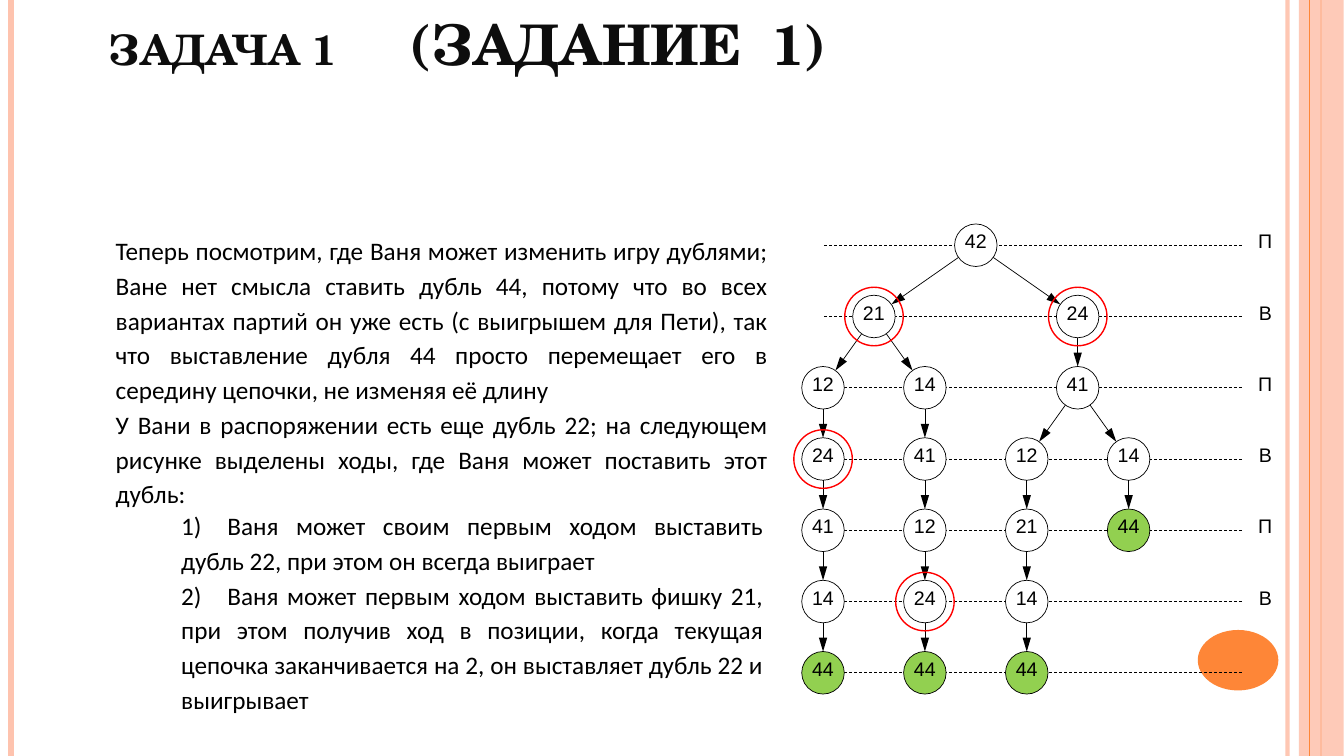
import math
from lxml import etree
from pptx import Presentation
from pptx import util as u
from pptx.dml.color import RGBColor
from pptx.enum import dml, shapes, text
from pptx.oxml.ns import qn

BLACK, WHITE, RED, GREEN = "000000", "FFFFFF", "FF0000", "92D050"
PEACH, ORANGE, TITLE_INK = "FEC3AE", "FE8637", "0D0D0D"
SLIDE_WIDTH, SLIDE_HEIGHT = 960.48, 540

TITLE = [("ЗАДАЧА 1\t", 30), ("(ЗАДАНИЕ\t1)", 40)]
EXPLANATION = [
    "Теперь посмотрим, где Ваня может изменить игру дублями; Ване нет смысла ставить дубль 44, "
    "потому что во всех вариантах партий он уже есть (с выигрышем для Пети), так что выставление "
    "дубля 44 просто перемещает его в середину цепочки, не изменяя её длину",
    "У Вани в распоряжении есть еще дубль 22; на следующем рисунке выделены ходы, где Ваня может "
    "поставить этот дубль:",
]
MOVES = [
    "1)\tВаня может своим первым ходом выставить дубль 22, при этом он всегда выиграет",
    "2)\tВаня может первым ходом выставить фишку 21, при этом получив ход в позиции, когда текущая "
    "цепочка заканчивается на 2, он выставляет дубль 22 и выигрывает",
]

LEVELS = [
    {3: 42},
    {1: 21, 5: 24},
    {0: 12, 2: 14, 5: 41},
    {0: 24, 2: 41, 4: 12, 6: 14},
    {0: 41, 2: 12, 4: 21, 6: 44},
    {0: 14, 2: 24, 4: 14},
    {0: 44, 2: 44, 4: 44},
]
PLAYERS = "ПВПВПВ"
RINGED = [(1, 1), (5, 1), (0, 3), (2, 5)]
TREE_LEFT, TREE_TOP, COLUMN_STEP, LEVEL_STEP = 588.2, 175.2, 36.4, 50.9
NODE_SIZE, RING_SIZE = 30.4, 41.8


def rgb(value):
    return RGBColor.from_string(value)


def node_center(column, level):
    return TREE_LEFT + column * COLUMN_STEP, TREE_TOP + level * LEVEL_STEP


class SlideBuilder:
    """Draws styled elements on one slide, with lengths in points."""

    def __init__(self, slide):
        self.slide = slide

    def style(self, run, font, size, color, bold=False):
        run.font.name, run.font.size, run.font.bold = font, u.Pt(size), bold
        run.font.color.rgb = rgb(color)

    def tabs(self, paragraph, positions):
        tab_list = etree.SubElement(paragraph._p.get_or_add_pPr(), qn("a:tabLst"))
        for position in positions:
            etree.SubElement(tab_list, qn("a:tab"), pos=str(u.Pt(position)), algn="l")

    def opacity(self, shape, percent):
        for color in shape._element.spPr.iter(qn("a:srgbClr")):
            etree.SubElement(color, qn("a:alpha"), val=str(percent * 1000))

    def title(self, parts, left, top, width, height, tabs):
        shape = self.slide.shapes.title
        shape.left, shape.top, shape.width, shape.height = map(u.Pt, (left, top, width, height))
        frame = shape.text_frame
        frame.auto_size = text.MSO_AUTO_SIZE.NONE
        frame.vertical_anchor = text.MSO_ANCHOR.BOTTOM
        paragraph = frame.paragraphs[0]
        self.tabs(paragraph, tabs)
        paragraph.alignment = text.PP_ALIGN.LEFT
        for words, size in parts:
            run = paragraph.add_run()
            run.text = words
            self.style(run, "TeX Gyre Schola", size, TITLE_INK, True)

    def body(self, paragraphs, left, top, width, height, tabs=()):
        frame = self.slide.shapes.add_textbox(*map(u.Pt, (left, top, width, height))).text_frame
        frame.word_wrap = True
        frame.text = "\n".join(paragraphs)
        for paragraph in frame.paragraphs:
            if tabs:
                self.tabs(paragraph, tabs)
            paragraph.alignment = text.PP_ALIGN.JUSTIFY
            paragraph.line_spacing = 1.15
            self.style(paragraph.runs[0], "Calibri", 18, BLACK)

    def caption(self, shape, words):
        frame = shape.text_frame
        frame.word_wrap = False
        frame.margin_left = frame.margin_right = frame.margin_top = 0
        frame.margin_bottom = u.Pt(6)
        frame.vertical_anchor = text.MSO_ANCHOR.MIDDLE
        frame.text = words
        frame.paragraphs[0].alignment = text.PP_ALIGN.CENTER
        self.style(frame.paragraphs[0].runs[0], "Arial", 14, BLACK)

    def label(self, words, x, y, size):
        box = (x - size / 2, y - size / 2, size, size)
        self.caption(self.slide.shapes.add_textbox(*map(u.Pt, box)), words)

    def shape(self, kind, left, top, width, height, fill=None, line=None, weight=0.5):
        shape = self.slide.shapes.add_shape(kind, *map(u.Pt, (left, top, width, height)))
        shape.shadow.inherit = False
        if fill:
            shape.fill.solid()
            shape.fill.fore_color.rgb = rgb(fill)
        else:
            shape.fill.background()
        if line:
            shape.line.color.rgb = rgb(line)
            shape.line.width = u.Pt(weight)
        else:
            shape.line.fill.background()
        return shape

    def circle(self, x, y, size, **look):
        return self.shape(shapes.MSO_SHAPE.OVAL, x - size / 2, y - size / 2, size, size, **look)

    def line(self, x1, y1, x2, y2, color=BLACK, weight=0.5, dashed=False, arrow=False):
        line = self.slide.shapes.add_connector(
            shapes.MSO_CONNECTOR.STRAIGHT, *map(u.Pt, (x1, y1, x2, y2)))
        line.line.color.rgb = rgb(color)
        line.line.width = u.Pt(weight)
        if dashed:
            line.line.dash_style = dml.MSO_LINE.DASH
        if arrow:
            etree.SubElement(line.line._get_or_add_ln(), qn("a:tailEnd"),
                             type="triangle", w="med", len="lg")
        etree.SubElement(line._element.spPr, qn("a:effectLst"))
        return line

    def arrow_between(self, start, end, radius):
        (x1, y1), (x2, y2) = start, end
        share = radius / math.dist(start, end)
        dx, dy = (x2 - x1) * share, (y2 - y1) * share
        self.line(x1 + dx, y1 + dy, x2 - dx, y2 - dy, arrow=True)


def draw_frame(builder):
    edge = builder.line(920.2, 0, 920.2, SLIDE_HEIGHT, PEACH, 3)
    builder.opacity(edge, 93)
    builder.line(7.9, 0, 7.9, SLIDE_HEIGHT, PEACH, 4.5)
    builder.line(943.9, 0, 943.9, SLIDE_HEIGHT, ORANGE, 1.5)
    band = builder.shape(shapes.MSO_SHAPE.RECTANGLE, 928.3, 0, 32, SLIDE_HEIGHT, PEACH)
    builder.opacity(band, 87)
    builder.line(936, 0, 936, SLIDE_HEIGHT, ORANGE, 0.75)
    builder.shape(shapes.MSO_SHAPE.OVAL, 856, 450, 57.6, 43.2, ORANGE)


def draw_game_tree(builder):
    for level in range(len(LEVELS)):
        y = node_center(0, level)[1]
        builder.line(589, y, 888, y, dashed=True)
    for level, player in enumerate(PLAYERS):
        builder.label(player, 904.3, node_center(0, level)[1], NODE_SIZE)
    for level, nodes in enumerate(LEVELS):
        for column, number in nodes.items():
            fill = GREEN if number == 44 else WHITE
            node = builder.circle(*node_center(column, level), NODE_SIZE, fill=fill, line=BLACK)
            builder.caption(node, str(number))
    for level, (parents, children) in enumerate(zip(LEVELS, LEVELS[1:])):
        reach = 1 if level else 2
        for parent in parents:
            for child in children:
                if abs(parent - child) <= reach:
                    builder.arrow_between(node_center(parent, level),
                                          node_center(child, level + 1), NODE_SIZE / 2)
    for column, level in RINGED:
        builder.circle(*node_center(column, level), RING_SIZE, line=RED, weight=1)


def main():
    presentation = Presentation()
    presentation.slide_width, presentation.slide_height = u.Pt(SLIDE_WIDTH), u.Pt(SLIDE_HEIGHT)
    builder = SlideBuilder(presentation.slides.add_slide(presentation.slide_layouts[5]))
    draw_frame(builder)
    builder.title(TITLE, 70.6, 0, 801, 58.3, [215, 474])
    builder.body(EXPLANATION, 75.6, 161.3, 480, 206)
    draw_game_tree(builder)
    builder.body(MOVES, 122.4, 357.8, 430, 156, [33])
    presentation.save("out.pptx")


if __name__ == "__main__":
    main()
